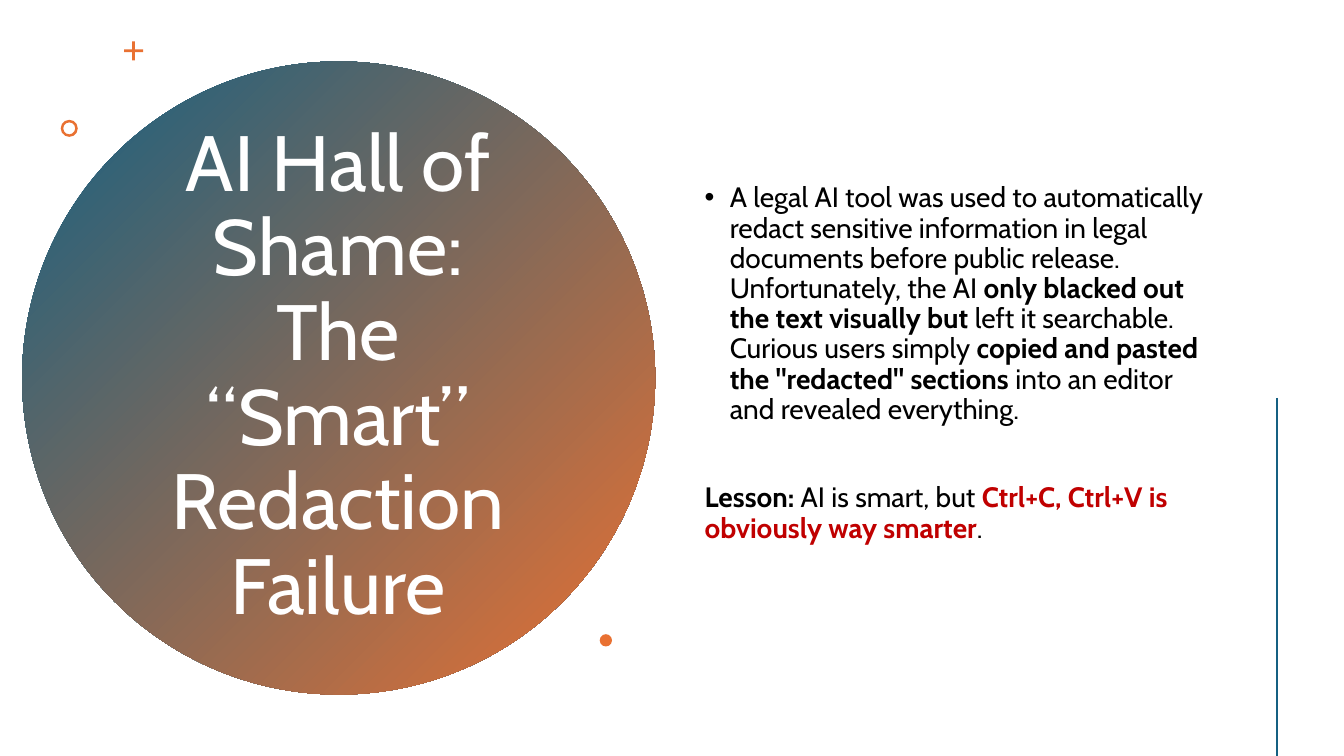
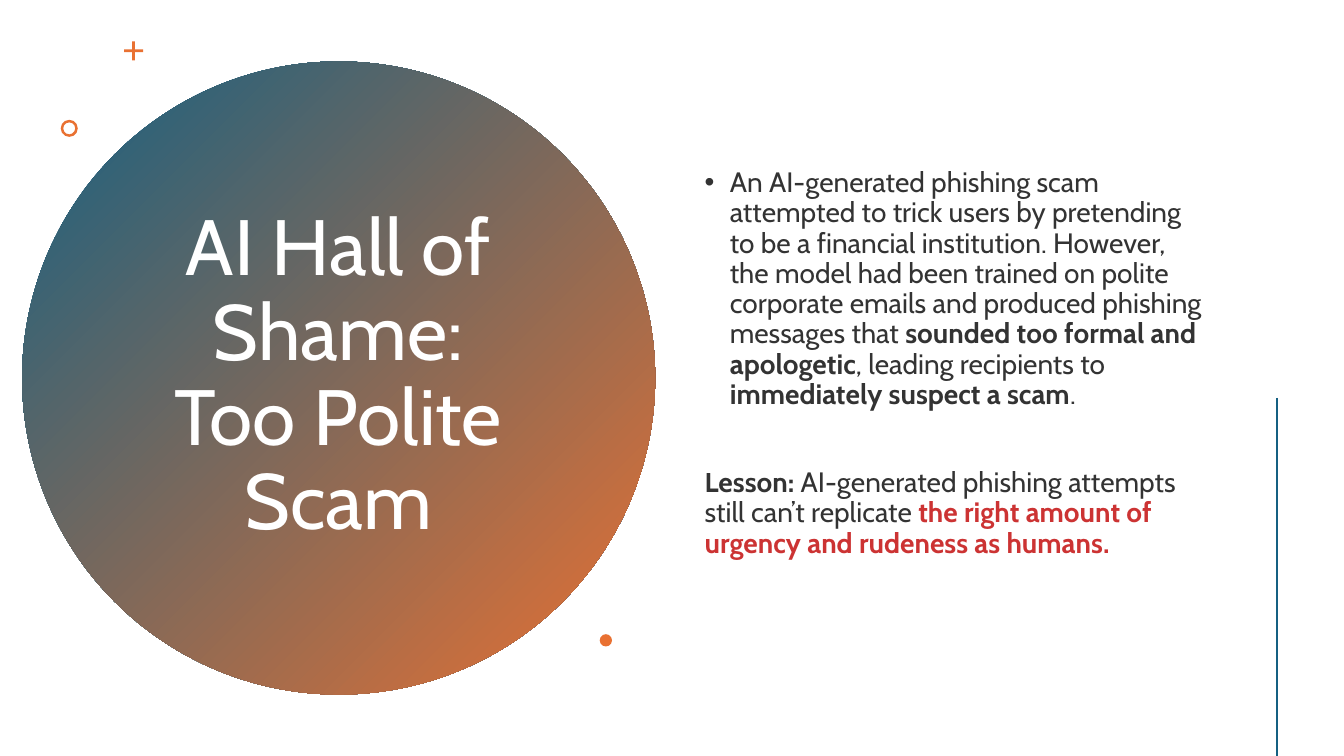
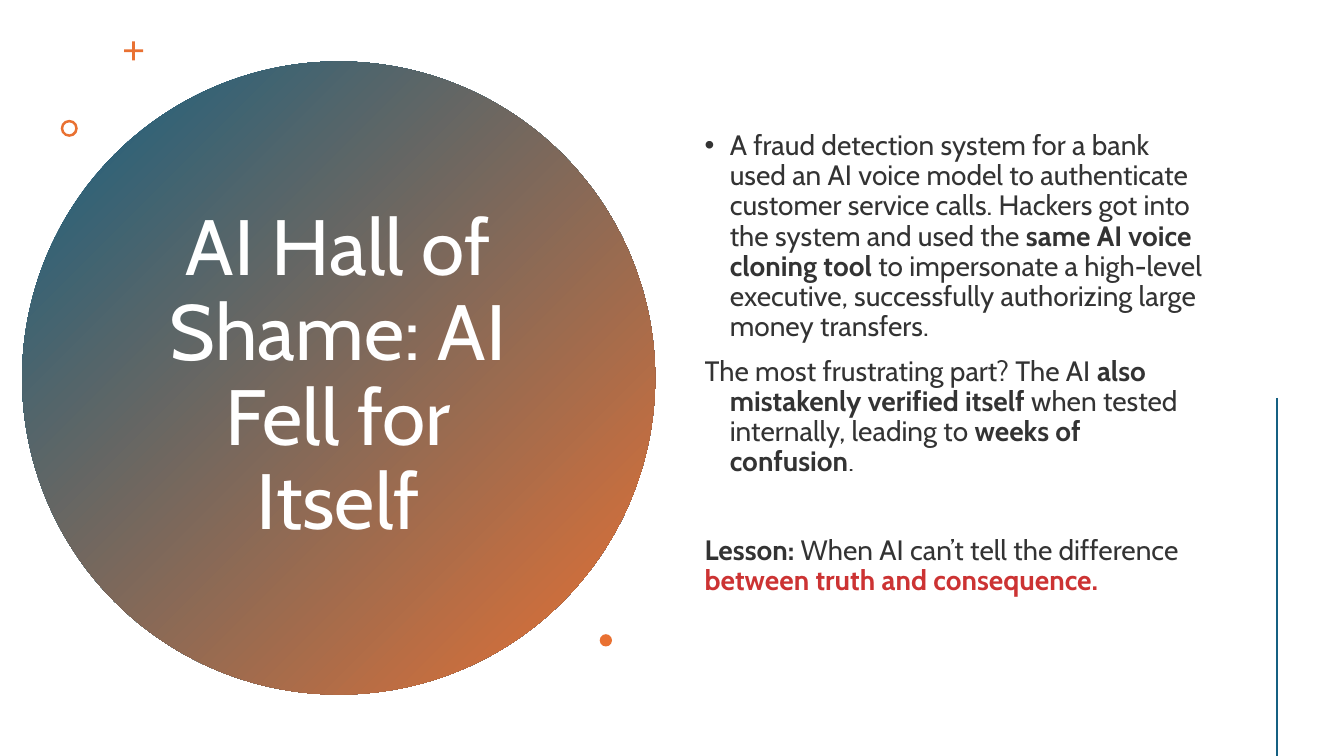
from lxml import etree
from pptx import Presentation
from pptx import util as u
from pptx.dml.color import RGBColor
from pptx.enum import shapes, text
from pptx.oxml.ns import qn

COLORS = {"blue": "156082", "orange": "E97132", "white": "FFFFFF",
          "black": "000000", "red": "C00000"}
FONT = "Cabin"
LINE_SPACING = 0.9
PARA_GAP = 10      # points before a paragraph
LESSON_GAP = 41.5  # one empty line and its spacing
HANG = 18          # hanging indent of the list


def rgb(name):
    return RGBColor.from_string(COLORS[name])


def add_text(p, content, size=20, color="black", bold=False, alpha=100):
    """Add one formatted run; alpha is the opacity in percent."""
    r = p.add_run()
    r.text = content
    r.font.name, r.font.size, r.font.bold = FONT, u.Pt(size), bold
    r.font.color.rgb = rgb(color)
    if alpha < 100:
        clr = next(r.font._element.iter(qn("a:srgbClr")))
        etree.SubElement(clr, qn("a:alpha"), val=str(alpha * 1000))


class Deck:
    def __init__(self):
        self.prs = Presentation()
        self.prs.slide_width, self.prs.slide_height = u.Pt(960), u.Pt(540)
        self.s = None

    def new_slide(self):
        self.s = self.prs.slides.add_slide(self.prs.slide_layouts[1])

    def shape(self, kind, x, y, size, adj=None):
        """Square orange shape without outline."""
        sp = self.s.shapes.add_shape(kind, u.Pt(x), u.Pt(y), u.Pt(size), u.Pt(size))
        sp.shadow.inherit = False
        sp.line.fill.background()
        sp.fill.solid()
        sp.fill.fore_color.rgb = rgb("orange")
        if adj is not None:
            sp.adjustments[0] = adj
        return sp

    def line(self, x1, y1, x2, y2):
        c = self.s.shapes.add_connector(shapes.MSO_CONNECTOR.STRAIGHT,
                                        u.Pt(x1), u.Pt(y1), u.Pt(x2), u.Pt(y2))
        c.line.color.rgb = rgb("blue")
        c.line.width = u.Pt(2)
        etree.SubElement(c._element.spPr, qn("a:effectLst"))

    def decorate(self):
        # Gradient disc behind the title
        disc = self.shape(shapes.MSO_SHAPE.OVAL, 15.8, 43.9, 452.2)
        disc.fill.gradient()
        disc.fill.gradient_angle = 315
        for stop, name in zip(disc.fill.gradient_stops, ("blue", "orange")):
            stop.color.rgb = rgb(name)
        self.s.shapes._spTree.insert(2, disc._element)
        # Small accents
        self.shape(shapes.MSO_SHAPE.CROSS, 88.6, 29.5, 13.6, 0.43)
        self.shape(shapes.MSO_SHAPE.DONUT, 43.4, 85.6, 12.2, 0.15)
        self.shape(shapes.MSO_SHAPE.OVAL, 428.4, 453, 8.8)
        self.line(912.2, 284.2, 912.2, 540)

    def frame(self, ph, x, y, w, h):
        """Place a placeholder and return its text frame."""
        ph.left, ph.top, ph.width, ph.height = (u.Pt(v) for v in (x, y, w, h))
        tf = ph.text_frame
        tf.word_wrap = True
        tf.auto_size = text.MSO_AUTO_SIZE.NONE
        tf.vertical_anchor = text.MSO_ANCHOR.MIDDLE
        return tf

    def title(self, content):
        p = self.frame(self.s.shapes.title, 97.9, 101.5, 287.3, 336.2).paragraphs[0]
        p.alignment = text.PP_ALIGN.CENTER
        p.line_spacing = LINE_SPACING
        add_text(p, content, size=56, color="white")

    def body(self, paragraphs, alpha):
        tf = self.frame(self.s.placeholders[1], 496.1, 41, 375.8, 459.4)
        tf.margin_top, tf.margin_bottom = u.Pt(13.6), u.Pt(35.2)
        for i, (style, runs) in enumerate(paragraphs):
            p = tf.paragraphs[0] if i == 0 else tf.add_paragraph()
            self.list_format(p, style)
            p.line_spacing = LINE_SPACING
            gap = LESSON_GAP if style == "lesson" else PARA_GAP
            p.space_before = u.Pt(gap if i else 0)
            for content, *look in runs:
                add_text(p, content, bold=bool(look), alpha=alpha,
                         color="red" if "red" in look else "black")

    def list_format(self, p, style):
        hang = 0 if style == "lesson" else u.Pt(HANG)
        pPr = p._p.get_or_add_pPr()
        pPr.set("marL", str(hang))
        pPr.set("indent", str(-hang))
        if style == "bullet":
            etree.SubElement(pPr, qn("a:buFont"), typeface="Arial")
            etree.SubElement(pPr, qn("a:buChar"), char="•")
        else:
            etree.SubElement(pPr, qn("a:buNone"))


# Title, text opacity, paragraphs of (style, runs)
SLIDES = [
    ("AI Hall of Shame: The “Smart” Redaction Failure", 100, [
        ("bullet", [
            ("A legal AI tool was used to automatically redact sensitive information in "
             "legal documents before public release. Unfortunately, the AI ",),
            ("only blacked out the text visually but", "bold"),
            (" left it searchable. Curious users simply ",),
            ('copied and pasted the "redacted" sections', "bold"),
            (" into an editor and revealed everything.",)]),
        ("lesson", [
            ("Lesson:", "bold"), (" AI is smart, but ",),
            ("Ctrl+C, Ctrl+V is obviously way smarter", "bold", "red"),
            (".", )])]),
    ("AI Hall of Shame: Too Polite Scam", 80, [
        ("bullet", [
            ("An AI-generated phishing scam attempted to trick users by pretending to be "
             "a financial institution. However, the model had been trained on polite "
             "corporate emails and produced phishing messages that ",),
            ("sounded too formal and apologetic", "bold"),
            (", leading recipients to ",),
            ("immediately suspect a scam", "bold"), (".",)]),
        ("lesson", [
            ("Lesson:", "bold"),
            (" AI-generated phishing attempts still can’t replicate ",),
            ("the right amount of urgency and rudeness as humans.", "bold", "red")])]),
    ("AI Hall of Shame: AI Fell for Itself", 80, [
        ("bullet", [
            ("A fraud detection system for a bank used an AI voice model to authenticate "
             "customer service calls. Hackers got into the system and used the ",),
            ("same AI voice cloning tool", "bold"),
            (" to impersonate a high-level executive, successfully authorizing large "
             "money transfers.",)]),
        ("hanging", [
            ("The most frustrating part? The AI ",),
            ("also mistakenly verified itself", "bold"),
            (" when tested internally, leading to ",),
            ("weeks of confusion", "bold"), (".",)]),
        ("lesson", [
            ("Lesson:", "bold"), (" When AI can’t tell the difference ",),
            ("between truth and consequence.", "bold", "red")])]),
]


def main():
    deck = Deck()
    for title, alpha, paragraphs in SLIDES:
        deck.new_slide()
        deck.decorate()
        deck.title(title)
        deck.body(paragraphs, alpha)
    deck.prs.save("out.pptx")


if __name__ == "__main__":
    main()
